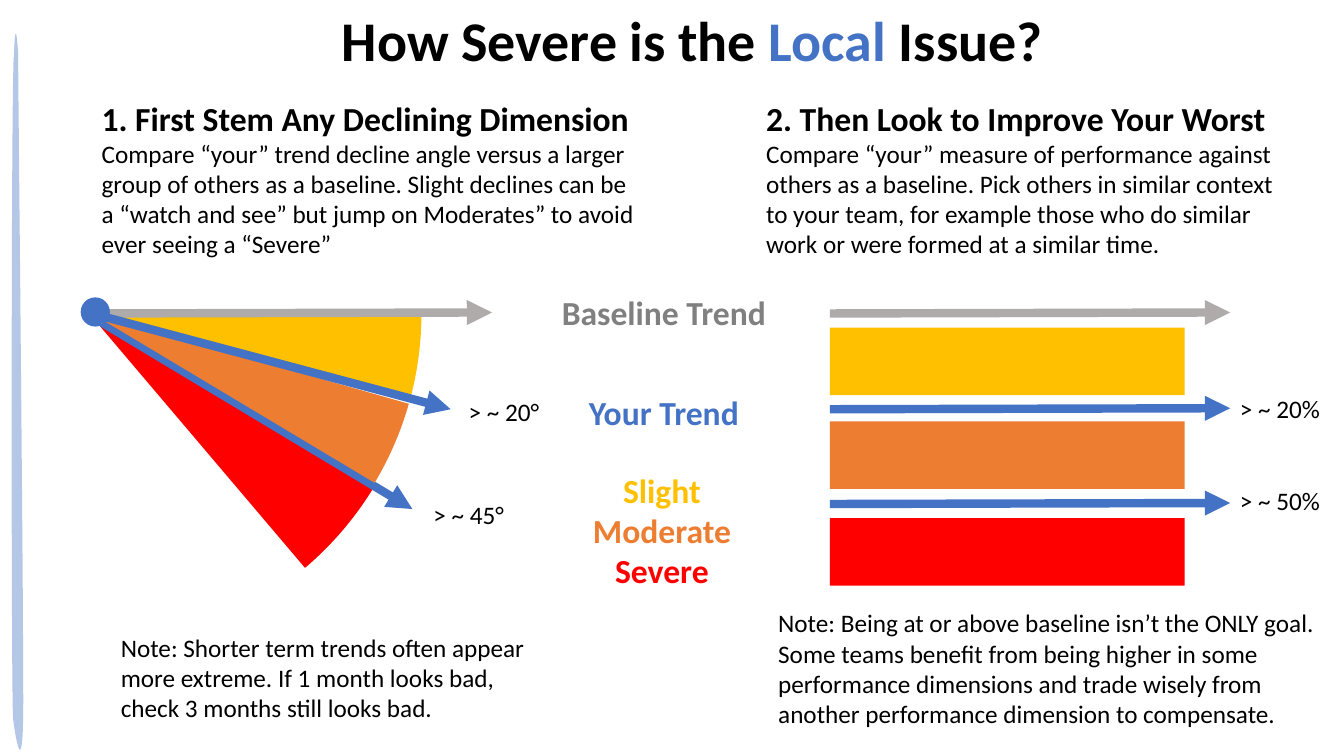
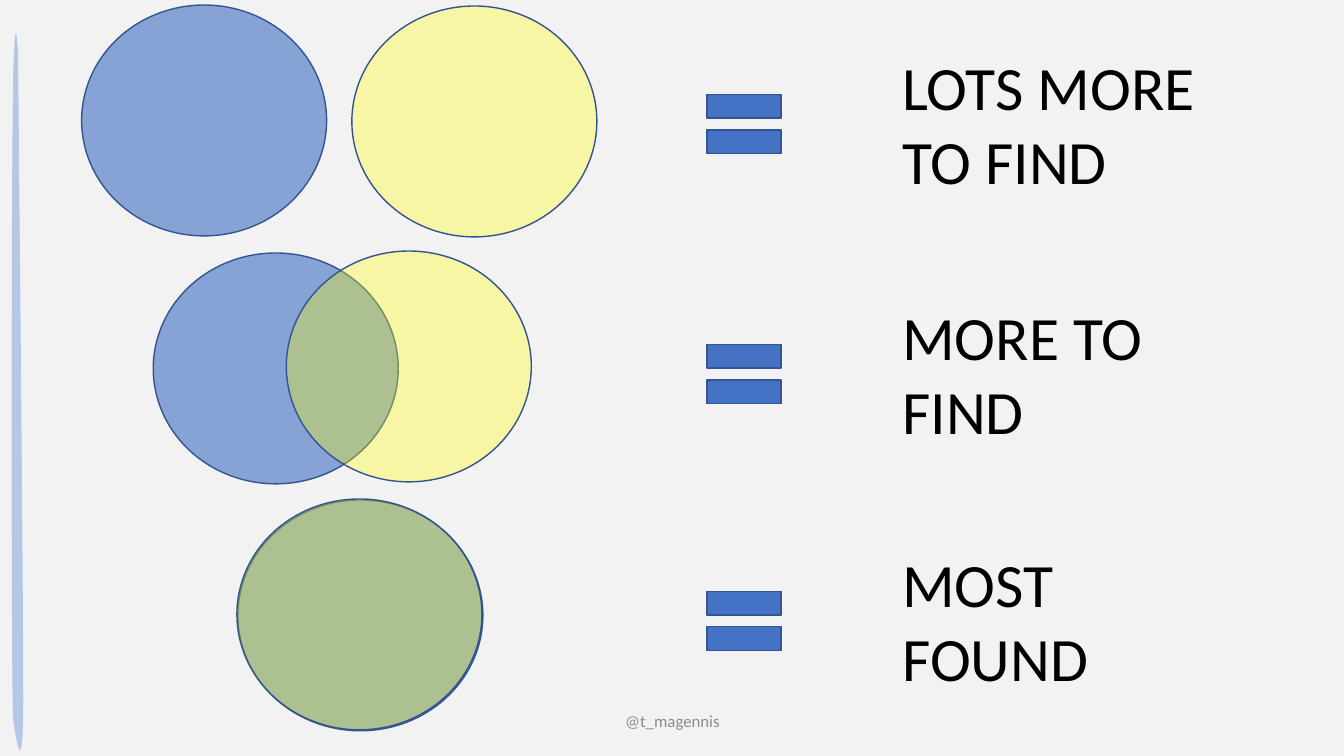
from dataclasses import dataclass

import lxml.etree
import pptx
import pptx.dml.color
import pptx.enum.shapes
import pptx.enum.text
import pptx.oxml.ns
import pptx.shapes.autoshape
import pptx.slide
import pptx.text.text
import pptx.util

Inches = pptx.util.Inches
RGBColor = pptx.dml.color.RGBColor
Kind = pptx.enum.shapes.MSO_SHAPE
Align = pptx.enum.text.PP_ALIGN
Anchor = pptx.enum.text.MSO_ANCHOR
Fit = pptx.enum.text.MSO_AUTO_SIZE
Place = tuple[float, float, float, float]
Point = tuple[float, float]

BLACK = RGBColor(0x00, 0x00, 0x00)
BLUE = RGBColor(0x44, 0x72, 0xC4)
NAVY = RGBColor(0x32, 0x54, 0x91)
PALE = RGBColor(0xB4, 0xC7, 0xE7)
GOLD = RGBColor(0xFF, 0xC0, 0x00)
ORANGE = RGBColor(0xED, 0x7D, 0x31)
RED = RGBColor(0xFF, 0x00, 0x00)
YELLOW = RGBColor(0xFF, 0xFF, 0x00)
SILVER = RGBColor(0xAF, 0xAB, 0xAB)
GRAY = RGBColor(0x80, 0x80, 0x80)
MUTED = RGBColor(0x8C, 0x8C, 0x8C)
SMOKE = RGBColor(0xF2, 0xF2, 0xF2)
FONT = "Calibri"


@dataclass
class Arrow:
    start: Point
    end: Point
    color: RGBColor


@dataclass
class Wedge:
    top: float
    turn: float
    sweep: float
    color: RGBColor


@dataclass
class Label:
    at: Place
    words: str
    size: int = 18
    color: RGBColor = BLACK
    bold: bool = False
    align: Align = Align.LEFT
    wrap: bool = False


@dataclass
class Topic:
    at: Place
    head: str
    body: str


@dataclass
class Overlap:
    left: Point
    right: Point
    equal: float
    words: str


STROKES = [
    [(0.14, 0.53), (0.11, 0.53), (0.11, 6.89), (0.13, 7.13)],
    [(0.13, 7.13), (0.16, 7.36), (0.22, 7.69), (0.23, 7.13)],
    [(0.23, 7.13), (0.24, 6.57), (0.18, 0.72), (0.18, 0.53)],
    [(0.18, 0.53), (0.17, 0.35), (0.15, 0.2), (0.14, 0.53)],
]

TOPICS = [
    Topic(
        (0.91, 0.92, 5.54, 1.72),
        "1. First Stem Any Declining Dimension",
        "Compare “your” trend decline angle versus a larger group of others as a "
        "baseline. Slight declines can be a “watch and see” but jump on Moderates” "
        "to avoid ever seeing a “Severe”",
    ),
    Topic(
        (7.5, 0.92, 5.42, 1.72),
        "2. Then Look to Improve Your Worst",
        "Compare “your” measure of performance against others as a baseline. Pick "
        "others in similar context to your team, for example those who do similar "
        "work or were formed at a similar time.",
    ),
]

LABELS = [
    Label((4.2, 4.9, 0.97, 0.4), "> ~ 45°"),
    Label((4.55, 3.88, 0.91, 0.4), "> ~ 20°"),
    Label((12.2, 3.85, 1.01, 0.4), "> ~ 20%"),
    Label((12.2, 4.77, 1.01, 0.4), "> ~ 50%"),
    Label((5.46, 2.85, 2.25, 0.5), "Baseline Trend", 24, GRAY, True, Align.CENTER),
    Label((5.46, 3.84, 2.25, 0.5), "Your Trend", 24, BLUE, True, Align.CENTER, True),
    Label(
        (1.1, 6.22, 4.2, 1.01),
        "Note: Shorter term trends often appear more extreme. If 1 month looks bad, "
        "check 3 months still looks bad.",
        wrap=True,
    ),
    Label(
        (7.62, 5.98, 5.57, 1.31),
        "Note: Being at or above baseline isn’t the ONLY goal. Some teams benefit "
        "from being higher in some performance dimensions and trade wisely from "
        "another performance dimension to compensate.",
        wrap=True,
    ),
]

LEVELS = [("Slight", GOLD, 3.25), ("Moderate", ORANGE, 4.18), ("Severe", RED, 5.14)]

FAN = [
    Wedge(-0.13, 31, 11.216, RED),
    Wedge(-0.16, 0, 9.005, GOLD),
    Arrow((0.91, 3.11), (4.88, 3.1), SILVER),
    Arrow((0.91, 3.14), (4.09, 5.05), BLUE),
    Wedge(-0.16, 15.9, 9.005, ORANGE),
    Arrow((0.91, 3.11), (4.47, 4.06), BLUE),
]

ROWS = [
    Overlap((0.81, 0.05), (3.49, 0.06), 0.73, "LOTS MORE TO FIND"),
    Overlap((1.52, 2.51), (2.84, 2.49), 3.21, "MORE TO FIND"),
    Overlap((2.36, 4.96), (2.35, 4.95), 5.66, "MOST FOUND"),
]


def say(
    par: pptx.text.text._Paragraph,
    words: str,
    *,
    size: int = 18,
    color: RGBColor = BLACK,
    bold: bool = False,
    align: Align = Align.LEFT,
) -> None:
    par.alignment = align
    run = par.add_run()
    run.text = words
    run.font.name = FONT
    run.font.size = pptx.util.Pt(size)
    run.font.bold = bold
    run.font.color.rgb = color


def box(slide: pptx.slide.Slide, at: Place, wrap: bool = True) -> pptx.text.text.TextFrame:
    frame = slide.shapes.add_textbox(*map(Inches, at)).text_frame
    frame.word_wrap = wrap
    frame.auto_size = Fit.SHAPE_TO_FIT_TEXT
    return frame


def paint(
    shape: pptx.shapes.autoshape.Shape,
    color: RGBColor,
    edge: RGBColor | None = None,
    alpha: int = 100,
) -> None:
    shape.shadow.inherit = False
    shape.fill.solid()
    shape.fill.fore_color.rgb = color
    if alpha < 100:
        tint = shape.element.spPr.find(".//" + pptx.oxml.ns.qn("a:srgbClr"))
        lxml.etree.SubElement(tint, pptx.oxml.ns.qn("a:alpha")).set("val", str(alpha * 1000))
    if edge is None:
        shape.line.fill.background()
    else:
        shape.line.color.rgb = edge
        shape.line.width = pptx.util.Pt(1)


def draw(
    slide: pptx.slide.Slide,
    kind: Kind,
    at: Place,
    color: RGBColor,
    edge: RGBColor | None = None,
    alpha: int = 100,
) -> pptx.shapes.autoshape.Shape:
    shape = slide.shapes.add_shape(kind, *map(Inches, at))
    paint(shape, color, edge, alpha)
    return shape


def point(slide: pptx.slide.Slide, arrow: Arrow) -> None:
    line = slide.shapes.add_connector(
        pptx.enum.shapes.MSO_CONNECTOR.STRAIGHT, *map(Inches, arrow.start + arrow.end)
    )
    line.line.color.rgb = arrow.color
    line.line.width = pptx.util.Pt(6)
    qn = pptx.oxml.ns.qn
    lxml.etree.SubElement(line.line._get_or_add_ln(), qn("a:tailEnd")).set("type", "triangle")
    lxml.etree.SubElement(line.element.spPr, qn("a:effectLst"))


def slice_pie(slide: pptx.slide.Slide, wedge: Wedge) -> None:
    pie = draw(slide, Kind.PIE, (-2.36, wedge.top, 6.54, 6.54), wedge.color)
    pie.adjustments[0] = 0
    pie.adjustments[1] = wedge.sweep
    pie.rotation = wedge.turn


def curve(stroke: list[Point], steps: int = 16) -> list[Point]:
    dots = []
    for step in range(1, steps + 1):
        t = step / steps
        parts = ((1 - t) ** 3, 3 * t * (1 - t) ** 2, 3 * t * t * (1 - t), t**3)
        x, y = (sum(p * dot[axis] for p, dot in zip(parts, stroke)) for axis in (0, 1))
        dots.append((Inches(x), Inches(y)))
    return dots


def add_band(slide: pptx.slide.Slide, master: pptx.slide.SlideMaster) -> None:
    form = slide.shapes.build_freeform(*map(Inches, STROKES[0][0]))
    for stroke in STROKES:
        form.add_line_segments(curve(stroke), close=stroke is STROKES[-1])
    band = form.convert_to_shape()
    paint(band, PALE)
    master.shapes.element.append(band.element)


def show_trend(slide: pptx.slide.Slide) -> None:
    title = slide.shapes.title
    title.left, title.top, title.width, title.height = map(Inches, (3.29, 0, 7.23, 0.77))
    frame = title.text_frame
    frame.word_wrap = False
    frame.auto_size = Fit.SHAPE_TO_FIT_TEXT
    frame.vertical_anchor = Anchor.TOP
    for words, color in (("How Severe is the ", BLACK), ("Local", BLUE), (" Issue?", BLACK)):
        say(frame.paragraphs[0], words, size=40, color=color, bold=True)

    for topic in TOPICS:
        frame = box(slide, topic.at)
        say(frame.paragraphs[0], topic.head, size=24, bold=True)
        say(frame.add_paragraph(), topic.body)

    for part in FAN:
        if isinstance(part, Wedge):
            slice_pie(slide, part)
        else:
            point(slide, part)
    draw(slide, Kind.OVAL, (0.8, 2.95, 0.29, 0.29), BLUE)

    for y, color in ((3.11, SILVER), (4.06, BLUE), (5, BLUE)):
        point(slide, Arrow((8.23, y), (12.2, y - 0.01), color))

    legend = box(slide, (5.77, 4.61, 1.59, 1.31), False)
    for rank, (words, color, top) in enumerate(LEVELS):
        par = legend.add_paragraph() if rank else legend.paragraphs[0]
        say(par, words, size=24, color=color, bold=True, align=Align.CENTER)
        draw(slide, Kind.RECTANGLE, (8.23, top, 3.52, 0.67), color)

    for label in LABELS:
        say(
            box(slide, label.at, label.wrap).paragraphs[0],
            label.words,
            size=label.size,
            color=label.color,
            bold=label.bold,
            align=label.align,
        )


def show_find(slide: pptx.slide.Slide) -> None:
    slide.background.fill.solid()
    slide.background.fill.fore_color.rgb = SMOKE
    foot = box(slide, (4.42, 6.95, 4.5, 0.4))
    foot.auto_size = Fit.NONE
    foot.vertical_anchor = Anchor.MIDDLE
    say(foot.paragraphs[0], "@t_magennis", size=12, color=MUTED, align=Align.CENTER)
    for row in ROWS:
        for spot, color, alpha in ((row.left, BLUE, 61), (row.right, YELLOW, 32)):
            draw(slide, Kind.OVAL, (*spot, 2.43, 2.29), color, NAVY, alpha)
        draw(slide, Kind.MATH_EQUAL, (6.88, row.equal, 1, 1), BLUE, NAVY)
        frame = box(slide, (8.85, row.equal - 0.29, 3.65, 1.58))
        say(frame.paragraphs[0], row.words, size=44)


def main() -> None:
    deck = pptx.Presentation()
    deck.slide_width, deck.slide_height = Inches(13.33), Inches(7.5)
    trend = deck.slides.add_slide(deck.slide_layouts[5])
    add_band(trend, deck.slide_master)
    show_trend(trend)
    show_find(deck.slides.add_slide(deck.slide_layouts[6]))
    deck.save("out.pptx")


if __name__ == "__main__":
    main()
